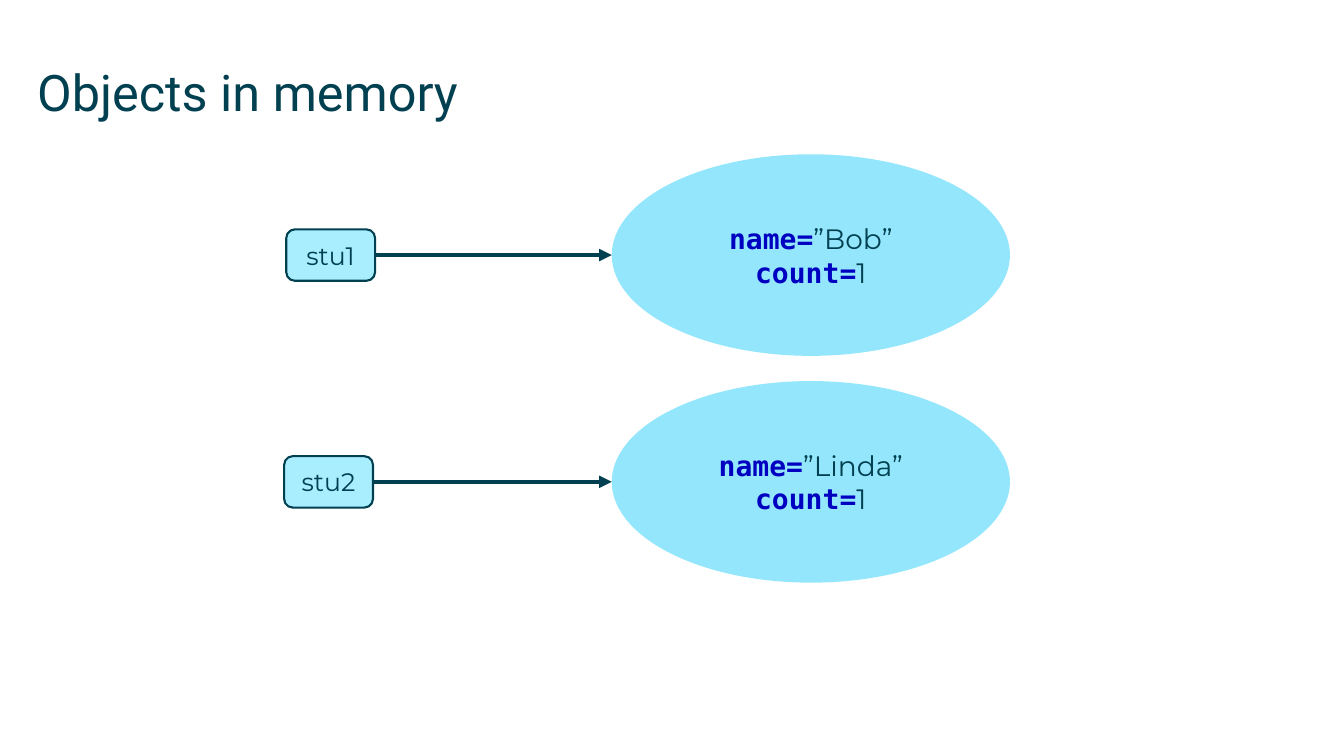
from pptx import Presentation
from pptx.dml.color import RGBColor
from pptx.enum.shapes import MSO_CONNECTOR as Connector, MSO_SHAPE as Shape
from pptx.enum.text import MSO_ANCHOR as Anchor, PP_ALIGN as Align
from pptx.oxml.ns import qn
from pptx.util import Pt
from lxml.etree import SubElement

DARK, KEYWORD = "004050", "0000C0"
LABEL_FILL, OBJECT_FILL = "A9EEFF", "28CFF9"
ROW_TOP, ROW_PITCH = 110.2, 162
LABEL_WIDTH, LABEL_HEIGHT = 63.4, 36.7
OBJECT_LEFT, OBJECT_WIDTH, OBJECT_HEIGHT = 437, 284.4, 144
VARIABLES = [("stu1", 204.5, "Bob"), ("stu2", 203, "Linda")]


def color(hex_string):
    return RGBColor.from_string(hex_string)


def add_run(paragraph, text, size=20, font="Montserrat", fill=DARK, bold=False):
    run = paragraph.add_run()
    run.text = text
    run.font.size, run.font.name, run.font.bold = Pt(size), font, bold
    run.font.color.rgb = color(fill)


def add_box(slide, kind, left, top, width, height, fill):
    shape = slide.shapes.add_shape(kind, Pt(left), Pt(top), Pt(width), Pt(height))
    shape.shadow.inherit = False
    shape.fill.solid()
    shape.fill.fore_color.rgb = color(fill)
    shape.text_frame.vertical_anchor = Anchor.MIDDLE
    shape.text_frame.paragraphs[0].alignment = Align.CENTER
    return shape


def add_title(slide, text, left, top, width, height):
    title = slide.shapes.title
    title.left, title.top = Pt(left), Pt(top)
    title.width, title.height = Pt(width), Pt(height)
    frame = title.text_frame
    frame.margin_left = frame.margin_right = frame.margin_top = frame.margin_bottom = 0
    frame.vertical_anchor = Anchor.TOP
    frame.word_wrap = True
    frame.paragraphs[0].alignment = Align.LEFT
    add_run(frame.paragraphs[0], text, size=36, font="Roboto")


def add_label(slide, text, left, top):
    label = add_box(slide, Shape.ROUNDED_RECTANGLE, left, top,
                    LABEL_WIDTH, LABEL_HEIGHT, LABEL_FILL)
    label.line.color.rgb = color(DARK)
    label.line.width = Pt(1.5)
    add_run(label.text_frame.paragraphs[0], text, size=18)
    return label


def add_object(slide, name, left, top):
    ellipse = add_box(slide, Shape.OVAL, left, top,
                      OBJECT_WIDTH, OBJECT_HEIGHT, OBJECT_FILL)
    ellipse.line.fill.background()
    # Half-transparent fill
    fill_color = ellipse.fill._xPr.find(qn("a:solidFill"))[0]
    SubElement(fill_color, qn("a:alpha"), val="50000")
    # Attribute names and values
    paragraph = ellipse.text_frame.paragraphs[0]
    keyword = dict(font="DejaVu Sans Mono", fill=KEYWORD, bold=True)
    add_run(paragraph, "name=", **keyword)
    add_run(paragraph, f"”{name}”")
    paragraph.add_line_break()
    add_run(paragraph, "count=", **keyword)
    add_run(paragraph, "1")
    return ellipse


def add_arrow(slide, label, ellipse):
    middle = ellipse.top + ellipse.height // 2
    arrow = slide.shapes.add_connector(
        Connector.STRAIGHT, label.left + label.width, middle, ellipse.left, middle)
    arrow.line.color.rgb = color(DARK)
    arrow.line.width = Pt(3)
    SubElement(arrow.line._get_or_add_ln(), qn("a:tailEnd"), type="triangle")
    SubElement(arrow._element.spPr, qn("a:effectLst"))


def add_variable_row(slide, variable, name, label_left, top):
    label_top = top + (OBJECT_HEIGHT - LABEL_HEIGHT) / 2
    label = add_label(slide, variable, label_left, label_top)
    ellipse = add_object(slide, name, OBJECT_LEFT, top)
    add_arrow(slide, label, ellipse)


def main():
    presentation = Presentation()
    presentation.slide_width, presentation.slide_height = Pt(960), Pt(540)
    slide = presentation.slides.add_slide(presentation.slide_layouts[5])
    add_title(slide, "Objects in memory", 26.6, 43.9, 907.2, 63.4)
    # One row per variable and the object it refers to
    for row, (variable, label_left, name) in enumerate(VARIABLES):
        add_variable_row(slide, variable, name, label_left, ROW_TOP + row * ROW_PITCH)
    presentation.save("out.pptx")


if __name__ == "__main__":
    main()
